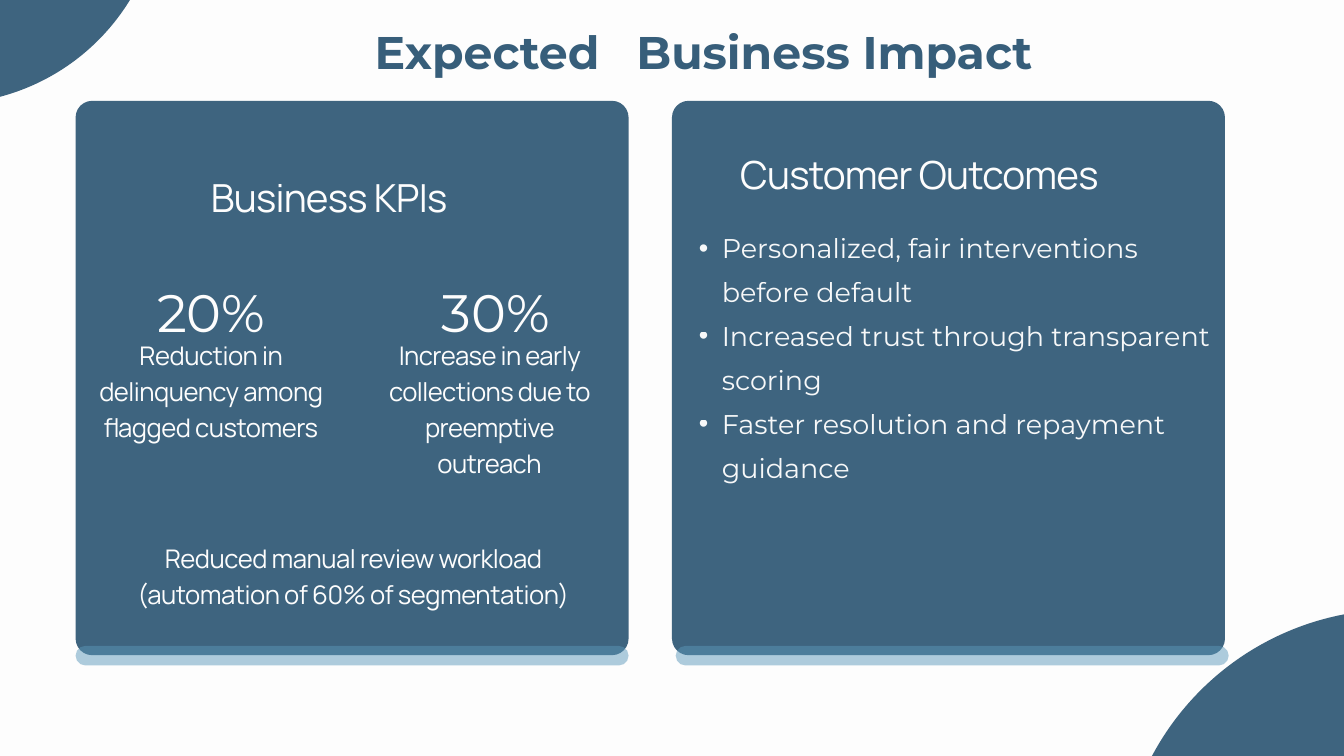
import pptx
import pptx.util
import pptx.dml.color
import pptx.enum.shapes
import pptx.enum.text
import pptx.oxml
import pptx.oxml.ns

Pt = pptx.util.Pt
RGB = pptx.dml.color.RGBColor
SHAPE = pptx.enum.shapes.MSO_SHAPE
ALIGN = pptx.enum.text.PP_ALIGN
ANCHOR = pptx.enum.text.MSO_ANCHOR
qn = pptx.oxml.ns.qn

NAVY = RGB(0x37, 0x5E, 0x7A)
SKY = RGB(0x5B, 0x98, 0xBA)
WHITE = RGB(0xFD, 0xFD, 0xFD)
HEAD = "Montserrat"
BODY = "Manrope"


def fade(shape, part):
    """Give every colour in the shape the given opacity in percent."""
    for colour in shape.element.iter(qn("a:srgbClr")):
        alpha = pptx.oxml.parse_xml(f'<a:alpha {pptx.oxml.ns.nsdecls("a")} val="{part * 1000}"/>')
        colour.append(alpha)


def draw(slide, kind, box, colour, part, round=None):
    """Draw a filled, see-through shape without an outline."""
    shape = slide.shapes.add_shape(kind, *map(Pt, box))
    shape.shadow.inherit = False
    shape.fill.solid()
    shape.fill.fore_color.rgb = colour
    shape.line.fill.background()
    if round is not None:
        shape.adjustments[0] = round
    fade(shape, part)


def write(para, text, size, font=BODY, colour=WHITE, bold=False, space=0, lead=None, align=None):
    """Add one formatted run of text to a paragraph."""
    run = para.add_run()
    run.text = text
    run.font.size = Pt(size)
    run.font.name = font
    run.font.bold = bold
    run.font.color.rgb = colour
    run.font._element.set("spc", str(int(space * 100)))
    para.line_spacing = Pt(lead)
    para.space_before = Pt(0)
    para.alignment = align


def place(shape, box, inset=0, anchor=ANCHOR.TOP):
    """Move a text shape to its box and return its text frame."""
    shape.left, shape.top, shape.width, shape.height = map(Pt, box)
    frame = shape.text_frame
    frame.word_wrap = True
    frame.auto_size = pptx.enum.text.MSO_AUTO_SIZE.NONE
    frame.vertical_anchor = anchor
    frame.margin_left = frame.margin_right = Pt(inset)
    frame.margin_top = frame.margin_bottom = Pt(inset)
    return frame


def label(slide, box, text, **style):
    """Add a text box with one paragraph."""
    shape = slide.shapes.add_textbox(*map(Pt, box))
    write(place(shape, box).paragraphs[0], text, **style)


def title(slide, box):
    """Fill the title, with a wide gap after its first word."""
    para = place(slide.shapes.title, box).paragraphs[0]
    for text, space in (("Expected", 0), (" ", 25.7), ("Business Impact", 0)):
        write(para, text, size=49, font=HEAD, colour=NAVY, bold=True,
              space=space, lead=68.7, align=ALIGN.CENTER)


def card(slide, box, shift=0):
    """Draw a rounded panel with a pale bar along its foot."""
    left, top, width, height = box
    draw(slide, SHAPE.ROUNDED_RECTANGLE, box, NAVY, 96, 0.03)
    draw(slide, SHAPE.ROUNDED_RECTANGLE, (left + shift, top + height - 10, width, 21), SKY, 49, 0.5)


def header(slide, box, text):
    """Write the heading of a card."""
    label(slide, box, text, size=41.4, space=-0.8, lead=57.9, align=ALIGN.LEFT)


def goals(slide, box):
    """Build the card of business figures."""
    left, top = box[:2]
    card(slide, box)
    header(slide, (left + 145, top + 70, 424, 58), "Business KPIs")
    small = dict(size=27.5, lead=38.5, align=ALIGN.CENTER)
    facts = (
        (52, "20%", 22, 246, -0.5, "Reduction in delinquency among flagged customers"),
        (357, "30%", 318, 251, -0.6, "Increase in early collections due to preemptive outreach"),
    )
    for start, rate, edge, width, space, note in facts:
        label(slide, (left + start, top + 180, 186.5, 76), rate,
              size=56.4, font=HEAD, lead=79, align=ALIGN.CENTER)
        label(slide, (left + edge, top + 251, width, 154), note, space=space, **small)
    label(slide, (left + 35.5, top + 468, 524, 78),
          "Reduced manual review workload (automation of 60% of segmentation)", space=-0.5, **small)


def gains(slide, box):
    """Build the card with the list of customer outcomes."""
    left, top, width, height = box
    card(slide, box, shift=4)
    header(slide, (left + 73, top + 45.5, 456, 58), "Customer Outcomes")
    body = slide.placeholders[1]
    body.element.getparent().append(body.element)
    frame = place(body, (left, top - 29.5, width, height + 3), 4.3, ANCHOR.MIDDLE)
    points = (
        "Personalized, fair interventions before default",
        "Increased trust through transparent scoring",
        "Faster resolution and repayment guidance",
    )
    for index, text in enumerate(points):
        para = frame.add_paragraph() if index else frame.paragraphs[0]
        para.level = 1
        props = para._p.get_or_add_pPr()
        props.set("marL", str(Pt(49)))
        props.set("indent", str(Pt(-24.5)))
        props.append(pptx.oxml.parse_xml(f'<a:buChar {pptx.oxml.ns.nsdecls("a")} char="•"/>'))
        write(para, text, size=29, font=HEAD, lead=47, align=ALIGN.LEFT)
    fade(body, 96)


def main():
    """Build the slide and save it."""
    deck = pptx.Presentation()
    deck.slide_width, deck.slide_height = Pt(1440), Pt(810)
    slide = deck.slides.add_slide(deck.slide_layouts[1])
    slide.background.fill.solid()
    slide.background.fill.fore_color.rgb = WHITE
    title(slide, (377.5, 16, 752.5, 65.5))
    for box in ((1199.5, 653, 592.5, 592.5), (-293, -355, 466.5, 466.5)):
        draw(slide, SHAPE.OVAL, box, NAVY, 96)
    goals(slide, (81, 108, 592.5, 594))
    gains(slide, (720, 108, 592.5, 594))
    deck.save("out.pptx")


if __name__ == "__main__":
    main()
